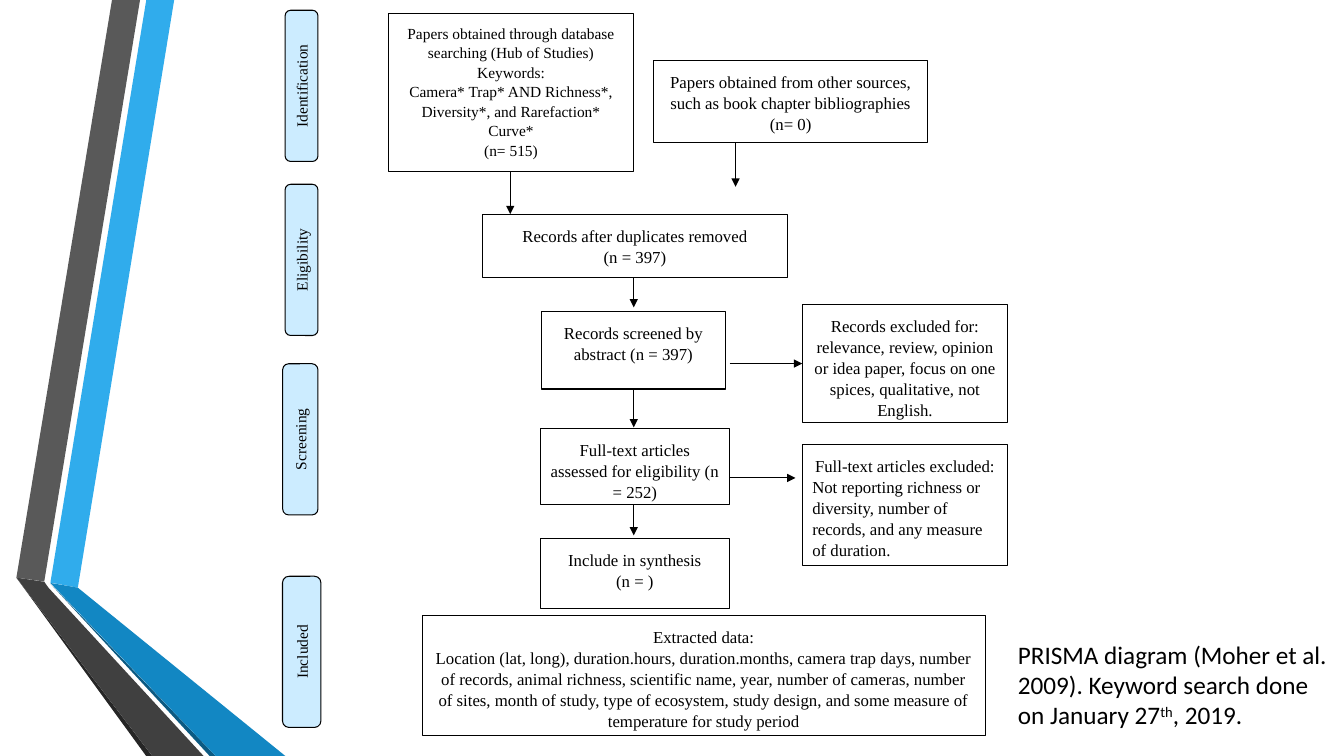
import pptx
import pptx.util
import pptx.dml.color
import pptx.enum.shapes
import pptx.enum.text
import pptx.oxml
import pptx.oxml.ns
from dataclasses import dataclass

Pt = pptx.util.Pt
ALIGN = pptx.enum.text.PP_ALIGN
ANCHOR = pptx.enum.text.MSO_ANCHOR
SHAPE = pptx.enum.shapes.MSO_SHAPE


@dataclass(frozen=True)
class Theme:
    ink: str = "000000"
    box_fill: str = "FFFFFF"
    stage_fill: str = "CCECFF"
    blue: str = "30ACEC"
    blue_fold: str = "1287C3"
    blue_edge: str = "0C5A82"
    grey: str = "595959"
    grey_fold: str = "404040"
    grey_edge: str = "262626"
    diagram_font: str = "Times New Roman"
    caption_font: str = "Calibri"
    small: int = 11
    body: int = 12
    caption: int = 18
    outline: float = 0.75
    spacing: float = 1.05


def rgb(code):
    return pptx.dml.color.RGBColor.from_string(code)


def apply(target, values):
    for name, value in values.items():
        setattr(target, name, value)


class Diagram:
    def __init__(self, slide, theme):
        self.shapes = slide.shapes
        self.theme = theme

    def style_span(self, span, size, font):
        apply(span.font, {"size": Pt(size), "name": font})
        span.font.color.rgb = rgb(self.theme.ink)

    def ribbon(self, points, color):
        start, *others = [(Pt(x), Pt(y)) for x, y in points]
        builder = self.shapes.build_freeform(*start, scale=1.0)
        builder.add_line_segments(others, close=True)
        shape = builder.convert_to_shape()
        shape.shadow.inherit = False
        shape.fill.solid()
        shape.fill.fore_color.rgb = rgb(color)
        shape.line.fill.background()

    def panel(self, kind, bounds, fill, paragraphs, size, inset, anchor, spacing=None):
        """Draw an outlined shape; paragraphs are (text, alignment) pairs."""
        shape = self.shapes.add_shape(kind, *[Pt(value) for value in bounds])
        shape.shadow.inherit = False
        shape.fill.solid()
        shape.fill.fore_color.rgb = rgb(fill)
        shape.line.color.rgb = rgb(self.theme.ink)
        shape.line.width = Pt(self.theme.outline)
        frame = shape.text_frame
        margins = {f"margin_{side}": Pt(inset) for side in ("left", "top", "right", "bottom")}
        apply(frame, {"word_wrap": True, "vertical_anchor": anchor, **margins})
        for index, (text, alignment) in enumerate(paragraphs):
            para = frame.add_paragraph() if index else frame.paragraphs[0]
            apply(para, {"text": text, "alignment": alignment, "line_spacing": spacing})
            for span in para.runs:
                self.style_span(span, size, self.theme.diagram_font)
        return shape

    def stage(self, text, center_x, center_y, thickness, length=108):
        bounds = (center_x - length / 2, center_y - thickness / 2, length, thickness)
        label = self.panel(SHAPE.ROUNDED_RECTANGLE, bounds, self.theme.stage_fill,
                           [(text, ALIGN.CENTER)], self.theme.small, 3.6, ANCHOR.MIDDLE)
        label.rotation = 270

    def box(self, bounds, *lines, size=None, last=ALIGN.CENTER):
        """Draw a white box; last is the alignment of its final paragraph."""
        alignments = [ALIGN.CENTER] * (len(lines) - 1) + [last]
        self.panel(SHAPE.RECTANGLE, bounds, self.theme.box_fill, zip(lines, alignments),
                   size or self.theme.body, 7.2, ANCHOR.TOP, self.theme.spacing)

    def arrow(self, *ends):
        line = self.shapes.add_connector(pptx.enum.shapes.MSO_CONNECTOR.STRAIGHT,
                                         *[Pt(value) for value in ends])
        line.line.color.rgb = rgb(self.theme.ink)
        line.line.width = Pt(self.theme.outline)
        outline = line.line._get_or_add_ln()
        for parent, tag, values in ((outline, "a:tailEnd", {"type": "triangle"}),
                                    (line._element.spPr, "a:effectLst", {})):
            child = pptx.oxml.parse_xml(f"<{tag} {pptx.oxml.ns.nsdecls('a')}/>")
            for name, value in values.items():
                child.set(name, value)
            parent.append(child)

    def caption(self, bounds, spans):
        """Write a text box from (text, is_superscript) pairs."""
        frame = self.shapes.add_textbox(*[Pt(value) for value in bounds]).text_frame
        frame.word_wrap = True
        for text, raised in spans:
            span = frame.paragraphs[0].add_run()
            span.text = text
            self.style_span(span, self.theme.caption, self.theme.caption_font)
            if raised:
                span.font._element.set("baseline", "30000")


def main():
    deck = pptx.Presentation()
    apply(deck, {"slide_width": Pt(960), "slide_height": Pt(540)})
    theme = Theme()
    diagram = Diagram(deck.slides.add_slide(deck.slide_layouts[6]), theme)

    ribbons = (
        (theme.blue, [(36, 416.2), (55.6, 419.8), (124.4, 0), (104.5, 0)]),
        (theme.grey, [(100, 0), (80, 0), (11.7, 412.6), (31.6, 415.4)]),
        (theme.grey_edge, [(11.7, 412.6), (104.4, 540), (108.7, 540)]),
        (theme.blue_edge, [(36, 416.9), (149.8, 540), (154.1, 540)]),
        (theme.blue_fold, [(36, 416.4), (154.1, 540), (203.8, 540), (55.6, 419.8)]),
        (theme.grey_fold, [(145.4, 540), (34.6, 419.8), (31.6, 415.6), (11.7, 412.6),
                           (108.7, 540)]),
    )
    for color, points in ribbons:
        diagram.ribbon(points, color)

    for stage in (("Identification", 215.4, 61.3, 23.4), ("Eligibility", 215.4, 185.6, 23.4),
                  ("Screening", 214.5, 313.8, 25.2), ("Included", 215.5, 465.6, 27.4)):
        diagram.stage(*stage)

    diagram.box((277.2, 9.4, 175.7, 113.4),
                "Papers obtained through database searching (Hub of Studies) Keywords:",
                "Camera* Trap* AND Richness*, Diversity*, and Rarefaction* Curve*",
                "(n= 515)", size=theme.small)
    diagram.box((466.9, 43.2, 195.8, 58.7),
                "Papers obtained from other sources, such as book chapter bibliographies", "(n= 0)")
    diagram.box((344.5, 153, 218.2, 45), "Records after duplicates removed\v(n = 397)")
    diagram.box((386.6, 222.3, 131.8, 55.6), "Records screened by abstract (n = 397)")

    middle_left, middle_width = 385.9, 135.2
    diagram.box((middle_left, 306, middle_width, 54.3),
                "Full-text articles assessed for eligibility (n = 252)")
    diagram.box((middle_left, 384.6, middle_width, 50.2), "Include in synthesis", "(n = )")

    excluded_left, excluded_width = 573.1, 146.7
    diagram.box((excluded_left, 217.4, excluded_width, 84.2),
                "Records excluded for: relevance, review, opinion or idea paper, "
                "focus on one spices, qualitative, not English.")
    diagram.box((excluded_left, 317.5, excluded_width, 86.4), "Full-text articles excluded:",
                "Not reporting richness or diversity, number of records, "
                "and any measure of duration.", last=ALIGN.LEFT)
    diagram.box((301.7, 439.4, 402, 86.2), "Extracted data:",
                "Location (lat, long), duration.hours, duration.months, camera trap days, "
                "number of records, animal richness, scientific name, year, number of cameras, "
                "number of sites, month of study, type of ecosystem, study design, "
                "and some measure of temperature for study period")

    for x, top, bottom in ((364.5, 123, 153), (525.4, 102, 133.4), (452.7, 198, 219.6),
                           (452.7, 278, 305.3), (452.7, 360.5, 382.5)):
        diagram.arrow(x, top, x, bottom)
    for y, right in ((259.7, 573.1), (341.4, 568.2)):
        diagram.arrow(middle_left + middle_width, y, right, y)

    diagram.caption((720, 452.9, 240, 72.7), [
        ("PRISMA diagram (Moher et al. 2009). Keyword search done on January 27", False),
        ("th", True), (", 2019.", False)])

    deck.save("out.pptx")


if __name__ == "__main__":
    main()
